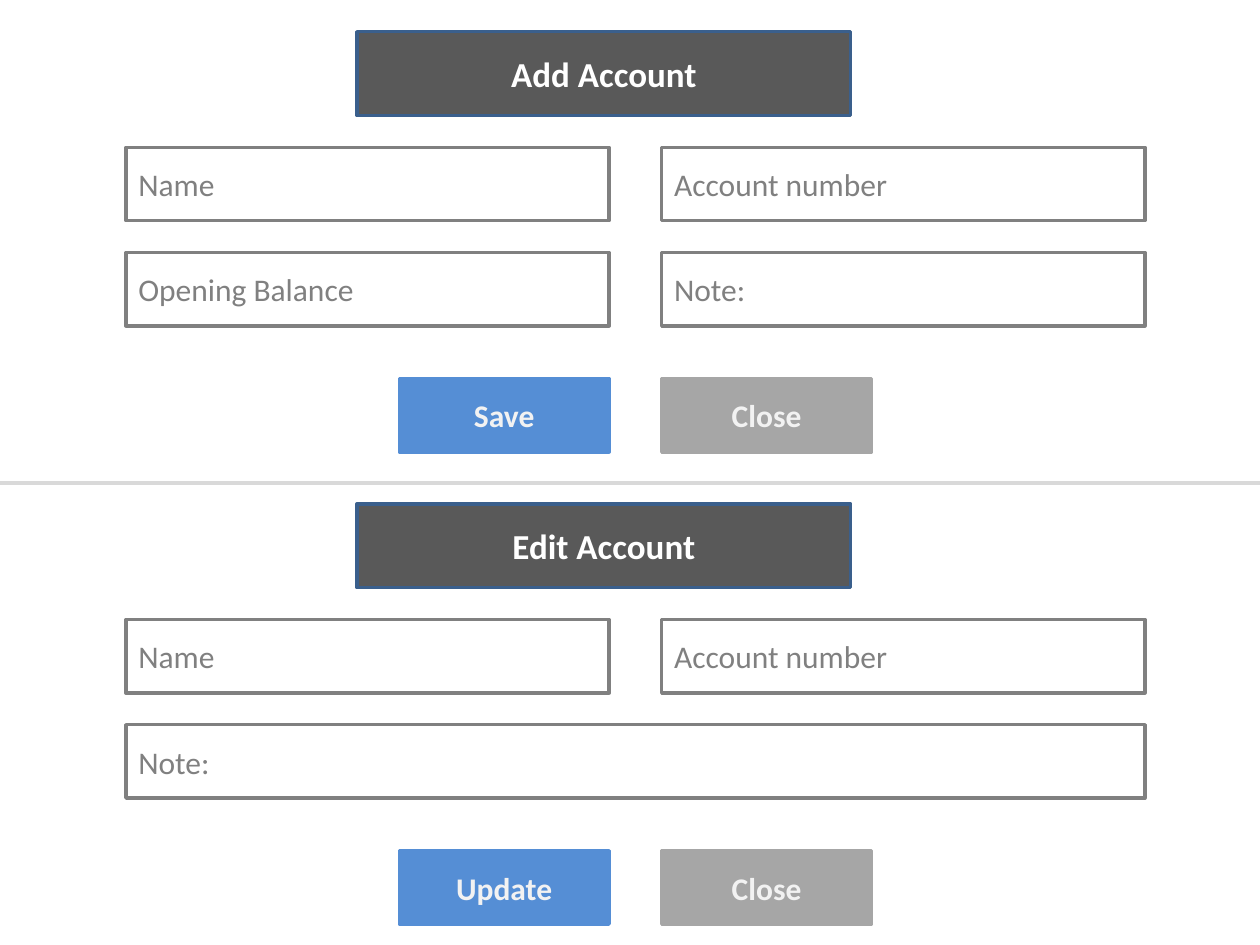
from lxml.etree import SubElement
from pptx import Presentation
from pptx.dml.color import RGBColor as RGB
from pptx.enum.shapes import MSO_CONNECTOR as CONN, MSO_SHAPE as SHAPE
from pptx.enum.text import MSO_ANCHOR as ANCHOR, PP_ALIGN as ALIGN
from pptx.oxml.ns import qn
from pptx.util import Cm, Pt

COLORS = {
    "white": "FFFFFF",
    "header": "595959",
    "header_line": "3A5F8C",
    "field": "808080",
    "primary": "558ED5",
    "close": "A6A6A6",
    "button_text": "F2F2F2",
    "divider": "D9D9D9",
}

# Lengths in cm
SLIDE_W, SLIDE_H = 25.4, 19.05
LEFT, RIGHT = 2.54, 13.34
FIELD_W, BUTTON_W, ROW_H = 9.74, 4.23, 1.48
WIDE_W = RIGHT + FIELD_W - LEFT
FIELD_TOP, FIELD_STEP, BUTTON_TOP = 2.33, 2.12, 6.99
PANEL_TOPS = 0.64, 10.16
DIVIDER_Y = 9.74


def color(name):
    return RGB.from_string(COLORS[name])


def add_box(s, text, x, y, w, h, fill, line, ink, size=18, bold=False, align=ALIGN.CENTER):
    sp = s.shapes.add_shape(SHAPE.RECTANGLE, Cm(x), Cm(y), Cm(w), Cm(h))
    sp.shadow.inherit = False
    sp.fill.solid()
    sp.fill.fore_color.rgb = color(fill)
    sp.line.color.rgb = color(line)
    sp.line.width = Pt(2)
    tf = sp.text_frame
    tf.word_wrap = True
    tf.vertical_anchor = ANCHOR.MIDDLE
    p = tf.paragraphs[0]
    p.alignment = align
    r = p.add_run()
    r.text = text
    r.font.name = "Calibri"
    r.font.size = Pt(size)
    r.font.bold = bold
    r.font.color.rgb = color(ink)


def add_header(s, text, y):
    add_box(s, text, 7.2, y, 9.95, 1.69, "header", "header_line", "white", 20, True)


def add_field(s, text, x, y, w=FIELD_W):
    add_box(s, text, x, y, w, ROW_H, "white", "field", "field", align=ALIGN.LEFT)


def add_button(s, text, x, y, fill):
    add_box(s, text, x, y, BUTTON_W, ROW_H, fill, fill, "button_text", bold=True)


def add_panel(s, top, title, rows, action):
    """Draw a form; a row with a single label spans both columns."""
    add_header(s, title, top)
    for i, labels in enumerate(rows):
        y = top + FIELD_TOP + i * FIELD_STEP
        if len(labels) == 1:
            add_field(s, labels[0], LEFT, y, WIDE_W)
        else:
            for label, x in zip(labels, (LEFT, RIGHT)):
                add_field(s, label, x, y)
    y = top + BUTTON_TOP
    add_button(s, action, LEFT + FIELD_W - BUTTON_W, y, "primary")
    add_button(s, "Close", RIGHT, y, "close")


def add_divider(s):
    line = s.shapes.add_connector(CONN.STRAIGHT, 0, Cm(DIVIDER_Y), Cm(SLIDE_W), Cm(DIVIDER_Y))
    line.line.color.rgb = color("divider")
    line.line.width = Pt(2.25)
    SubElement(line._element.spPr, qn("a:effectLst"))


def main():
    prs = Presentation()
    prs.slide_width, prs.slide_height = Cm(SLIDE_W), Cm(SLIDE_H)
    s = prs.slides.add_slide(prs.slide_layouts[6])
    add_top, edit_top = PANEL_TOPS
    identity = ("Name", "Account number")
    add_panel(s, add_top, "Add Account", [identity, ("Opening Balance", "Note:")], "Save")
    add_divider(s)
    add_panel(s, edit_top, "Edit Account", [identity, ("Note:",)], "Update")
    prs.save("out.pptx")


if __name__ == "__main__":
    main()
